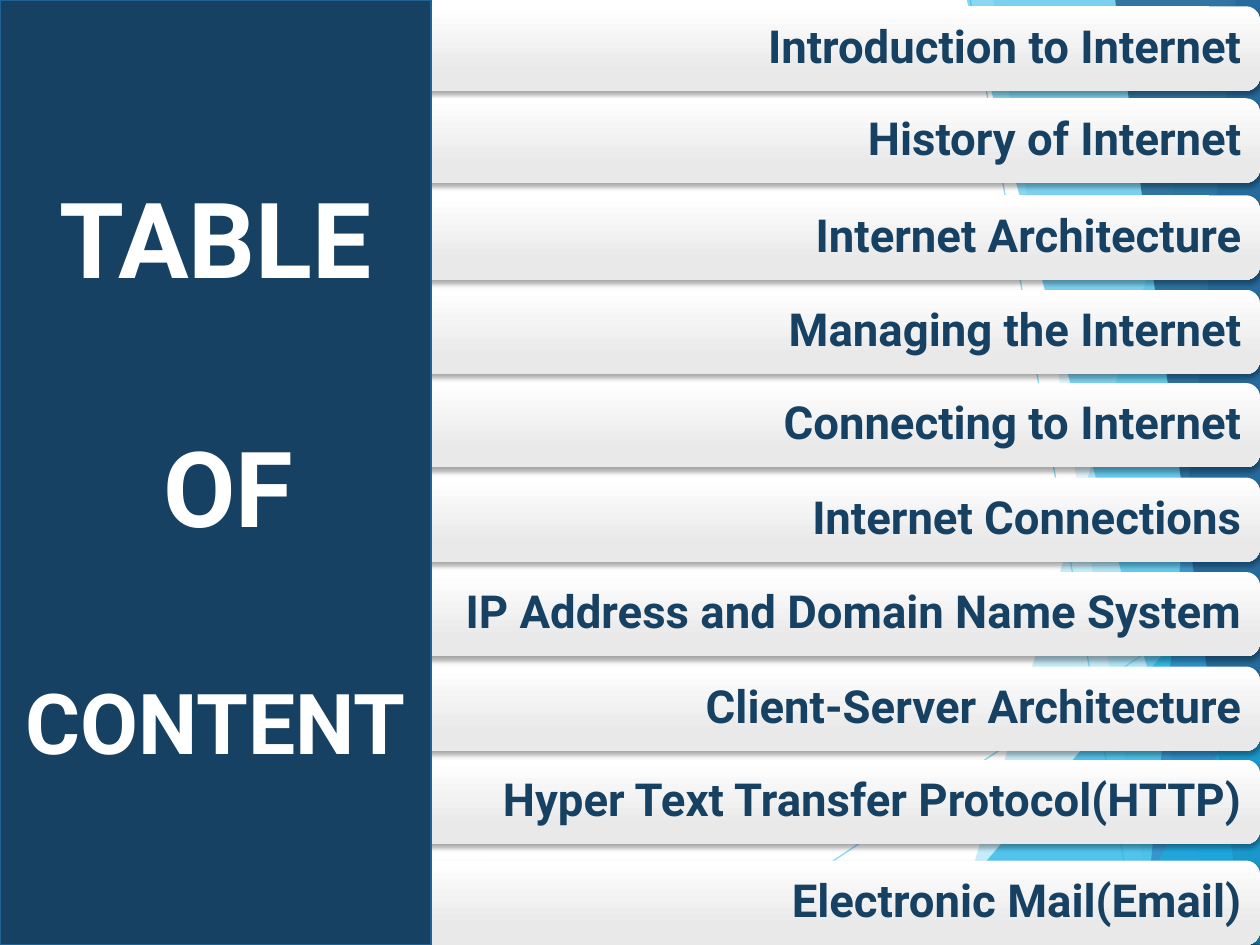
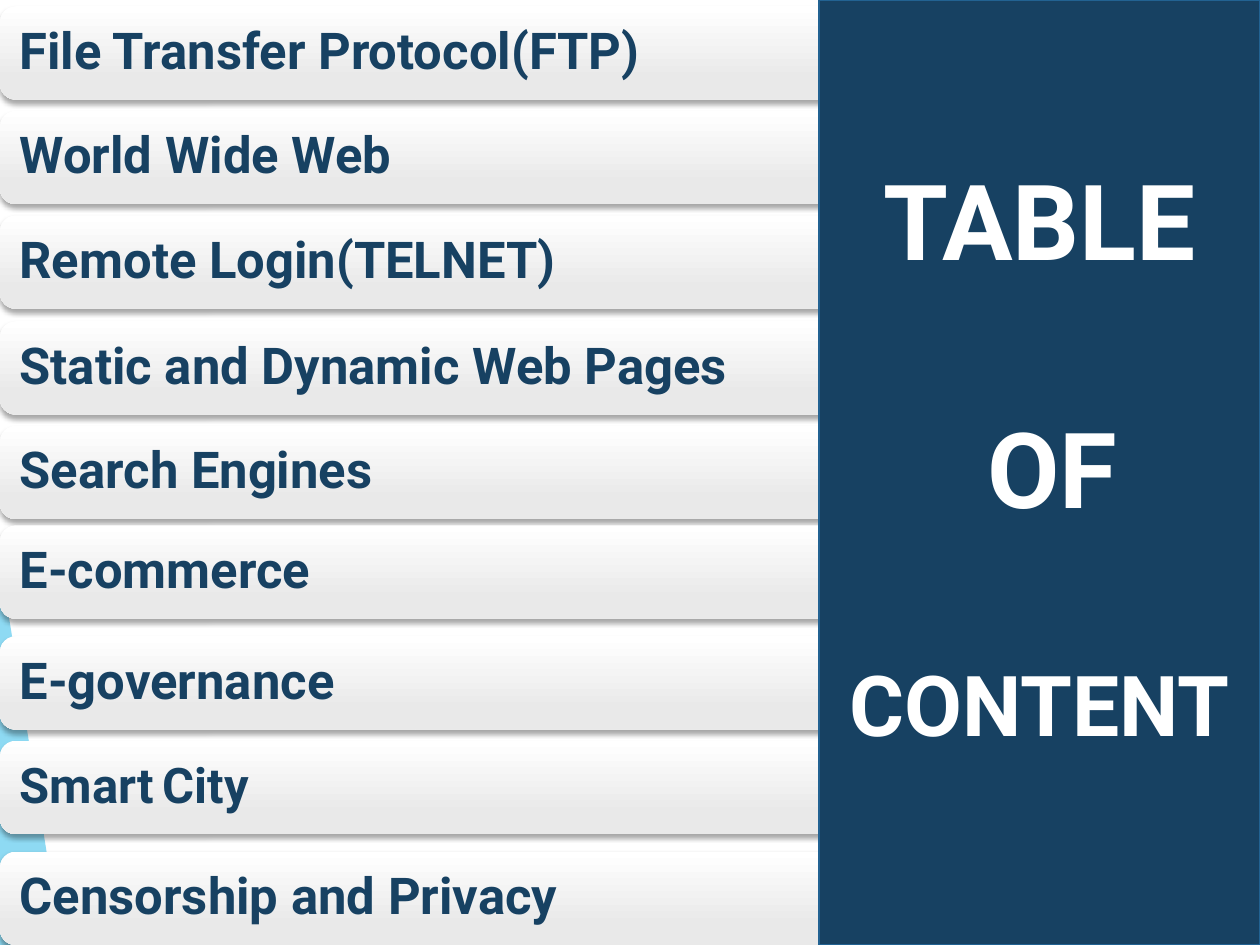
import dataclasses

import pptx
import pptx.dml.color
import pptx.enum.shapes
import pptx.enum.text
import pptx.oxml
import pptx.oxml.ns
import pptx.util

Inches = pptx.util.Inches
Pt = pptx.util.Pt
MSO_SHAPE = pptx.enum.shapes.MSO_SHAPE
PP_ALIGN = pptx.enum.text.PP_ALIGN
MSO_ANCHOR = pptx.enum.text.MSO_ANCHOR


@dataclasses.dataclass(frozen=True)
class Theme:
    font: str = "Roboto"
    navy: str = "174162"
    steel: str = "226292"
    blue: str = "2E83C3"
    azure: str = "17B0E4"
    sky: str = "5FCBEF"
    white: str = "FFFFFF"
    grey: str = "E9E9E9"
    black: str = "000000"
    title: int = 60
    title_small: int = 48
    title_gap: int = 70


THEME = Theme()
WIDTH, HEIGHT = 10, 7.5

FACETS = [
    (THEME.sky, 70, [(-0.01, 4.39), (0.49, 7.51), (-0.01, 7.5)]),
    (THEME.sky, 36, [(9.75, 0), (7.54, 7.5), (10.02, 7.51), (10.01, 0.01)]),
    (THEME.sky, 20, [(7.88, -0.01), (9.19, 7.5), (10.01, 7.5), (10.01, -0.01)]),
    (THEME.azure, 66, [(7.26, 7.5), (10, 4.29), (10.01, 7.5)]),
    (THEME.azure, 50, [(7.67, -0.01), (9.7, 7.5), (10.01, 7.49), (10.01, -0.01)]),
    (THEME.blue, 70, [(9.81, -0.01), (9.07, 7.5), (10.01, 7.5), (10, -0.01)]),
    (THEME.steel, 82, [(8.85, -0.01), (9.88, 7.5), (10.02, 7.5), (10, -0.01)]),
    (THEME.azure, 66, [(8.82, 7.5), (10.02, 5.35), (10.02, 7.49)]),
]
RAYS = [(5.61, 7.5, 10.01, 4.57), (7.7, 0, 9.04, 7.5)]

FIRST_TOPICS = [
    (0.05, "Introduction to Internet"),
    (0.78, "History of Internet"),
    (1.55, "Internet Architecture"),
    (2.3, "Managing the Internet"),
    (3.04, "Connecting to Internet"),
    (3.79, "Internet Connections"),
    (4.54, "IP Address and Domain Name System"),
    (5.29, "Client-Server Architecture"),
    (6.03, "Hyper Text Transfer Protocol(HTTP)"),
    (6.83, "Electronic Mail(Email)"),
]
SECOND_TOPICS = [
    (0.05, "File Transfer Protocol(FTP)"),
    (0.88, "World Wide Web"),
    (1.71, "Remote Login(TELNET)"),
    (2.55, "Static and Dynamic Web Pages"),
    (3.38, "Search Engines"),
    (4.17, "E-commerce"),
    (5.05, "E-governance"),
    (5.88, [("Smart", 28), (" ", 20), ("City", 28)]),
    (6.76, "Censorship and Privacy"),
]


def rgb(color):
    return pptx.dml.color.RGBColor.from_string(color)


def add_xml(parent, xml):
    ns = pptx.oxml.ns.nsdecls("a")
    parent.append(pptx.oxml.parse_xml(xml.replace("/>", f" {ns}/>", 1)
                                      if xml.endswith("/>") and xml.count("<") == 1
                                      else xml.replace(">", f" {ns}>", 1)))


def set_opacity(sp, percent):
    for clr in sp._element.spPr.iter(pptx.oxml.ns.qn("a:srgbClr")):
        add_xml(clr, f'<a:alpha val="{percent * 1000}"/>')


def set_shadow(sp):
    sp.shadow.inherit = False
    effects = sp._element.spPr.find(pptx.oxml.ns.qn("a:effectLst"))
    add_xml(effects,
            f'<a:outerShdw blurRad="{Pt(3)}" dist="{Pt(2)}" dir="5400000" rotWithShape="0">'
            f'<a:srgbClr val="{THEME.black}"><a:alpha val="35000"/></a:srgbClr></a:outerShdw>')


def set_font(font, size, color):
    font.name = THEME.font
    font.size = Pt(size)
    font.bold = True
    font.color.rgb = rgb(color)


def add_facet(s, left, top, color, opacity, points):
    corners = [(Inches(left + x), Inches(top + y)) for x, y in points]
    builder = s.shapes.build_freeform(*corners[0])
    builder.add_line_segments(corners[1:])
    sp = builder.convert_to_shape()
    sp.shadow.inherit = False
    sp.line.fill.background()
    sp.fill.solid()
    sp.fill.fore_color.rgb = rgb(color)
    set_opacity(sp, opacity)


def add_ray(s, left, top, x1, y1, x2, y2):
    ray = s.shapes.add_connector(
        pptx.enum.shapes.MSO_CONNECTOR.STRAIGHT,
        Inches(left + x1), Inches(top + y1), Inches(left + x2), Inches(top + y2))
    ray.line.color.rgb = rgb(THEME.sky)
    ray.line.width = Pt(0.75)
    set_opacity(ray, 70)
    add_xml(ray._element.spPr, "<a:effectLst/>")


def add_backdrop(s, left, top):
    add_facet(s, left, top, *FACETS[0])
    for ray in RAYS:
        add_ray(s, left, top, *ray)
    for facet in FACETS[1:]:
        add_facet(s, left, top, *facet)


def add_topic_bar(s, left, top, width, height, topic, size, inset, align):
    sp = s.shapes.add_shape(MSO_SHAPE.ROUNDED_RECTANGLE, Inches(left), Inches(top),
                            Inches(width), Inches(height))
    set_shadow(sp)
    sp.line.fill.background()
    sp.fill.gradient()
    sp.fill.gradient_angle = 270
    stops = [(0, THEME.white), (0.78, THEME.grey)]
    for stop, (position, color) in zip(sp.fill.gradient_stops, stops):
        stop.position = position
        stop.color.rgb = rgb(color)
    tf = sp.text_frame
    tf.word_wrap = True
    tf.vertical_anchor = MSO_ANCHOR.MIDDLE
    tf.margin_left = tf.margin_right = Inches(inset)
    tf.margin_top = tf.margin_bottom = Inches(inset)
    p = tf.paragraphs[0]
    p.alignment = align
    p.line_spacing = 0.9
    set_font(p.font, size, THEME.navy)
    if isinstance(topic, str):
        p.add_run().text = topic
        return
    for text, run_size in topic:
        r = p.add_run()
        r.text = text
        r.font.size = Pt(run_size)


def add_topic_list(s, left, top, width, topics, height, size, inset, align):
    for offset, topic in topics:
        add_topic_bar(s, left, top + offset, width, height, topic, size, inset, align)


def add_title_panel(s, left, top, width, height, bottom_inset):
    sp = s.shapes.add_shape(MSO_SHAPE.RECTANGLE, Inches(left), Inches(top),
                            Inches(width), Inches(height))
    sp.shadow.inherit = False
    sp.fill.solid()
    sp.fill.fore_color.rgb = rgb(THEME.navy)
    sp.line.color.rgb = rgb(THEME.steel)
    sp.line.width = Pt(1)
    tf = sp.text_frame
    tf.word_wrap = True
    tf.vertical_anchor = MSO_ANCHOR.MIDDLE
    tf.margin_bottom = Inches(bottom_inset)
    words = [("TABLE", THEME.title), (" OF", THEME.title), ("CONTENT", THEME.title_small)]
    for i, (word, size) in enumerate(words):
        p = tf.add_paragraph() if i else tf.paragraphs[0]
        p.add_run().text = word
        p.alignment = PP_ALIGN.CENTER
        p.space_before = Pt(THEME.title_gap if i else 0)
        set_font(p.font, size, THEME.white)


def add_contents_slide(prs, topics, bar, panel):
    s = prs.slides.add_slide(prs.slide_layouts[6])
    add_backdrop(s, 0, 0)
    add_topic_list(s, 0, 0, WIDTH, topics, **bar)
    add_title_panel(s, top=0, height=HEIGHT, **panel)


def main():
    prs = pptx.Presentation()
    prs.slide_width, prs.slide_height = Inches(WIDTH), Inches(HEIGHT)
    add_contents_slide(
        prs, FIRST_TOPICS,
        bar=dict(height=0.67, size=26, inset=0.11, align=PP_ALIGN.RIGHT),
        panel=dict(left=0, width=3.42, bottom_inset=0.05))
    add_contents_slide(
        prs, SECOND_TOPICS,
        bar=dict(height=0.74, size=29, inset=0.12, align=PP_ALIGN.LEFT),
        panel=dict(left=6.5, width=3.5, bottom_inset=0.34))
    prs.save("out.pptx")


if __name__ == "__main__":
    main()
